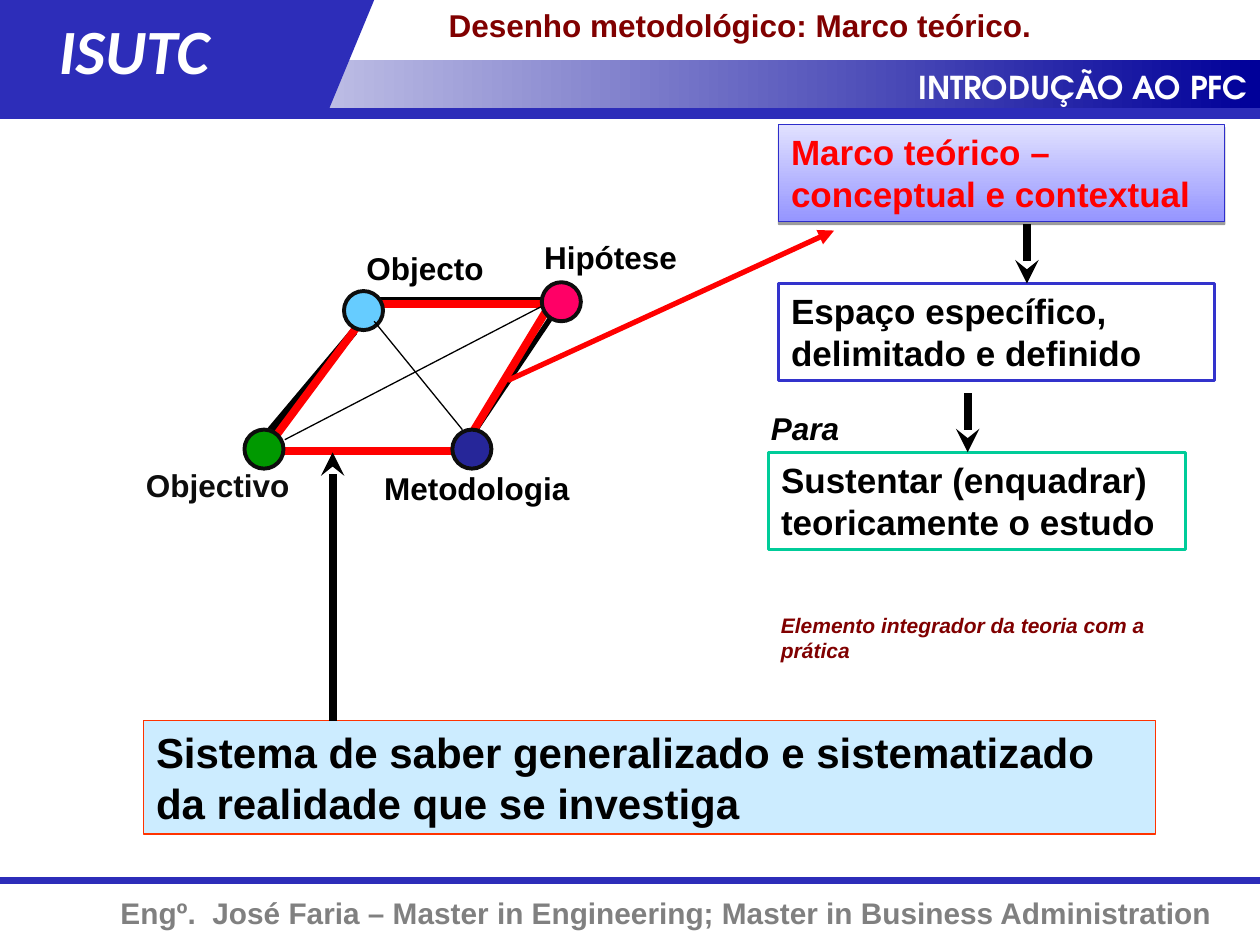
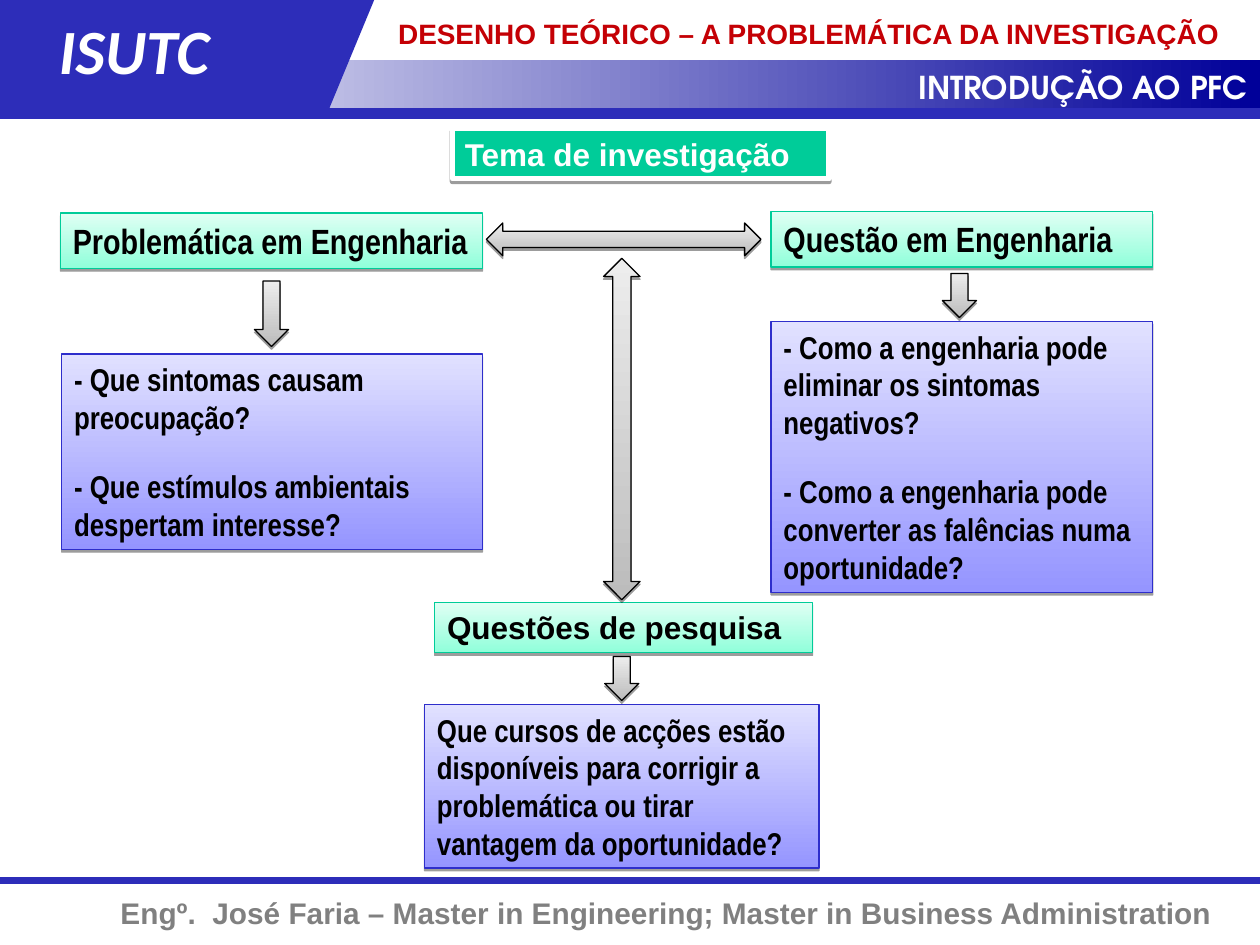
from lxml import etree
from pptx import Presentation
from pptx.dml.color import RGBColor
from pptx.enum.shapes import MSO_CONNECTOR, MSO_SHAPE
from pptx.enum.text import MSO_ANCHOR, MSO_AUTO_SIZE, PP_ALIGN
from pptx.oxml.ns import qn
from pptx.util import Inches, Pt

RECT, OVAL = MSO_SHAPE.RECTANGLE, MSO_SHAPE.OVAL
SLANT = MSO_SHAPE.FLOWCHART_DATA
DOWN = MSO_SHAPE.DOWN_ARROW
LEFT_RIGHT = MSO_SHAPE.LEFT_RIGHT_ARROW
UP_DOWN = MSO_SHAPE.UP_DOWN_ARROW
LEFT, RIGHT = PP_ALIGN.LEFT, PP_ALIGN.RIGHT

BLACK = RGBColor(0x00, 0x00, 0x00)
INK = RGBColor(0x0D, 0x0D, 0x0D)
WHITE = RGBColor(0xFF, 0xFF, 0xFF)
GREY = RGBColor(0x80, 0x80, 0x80)
RED = RGBColor(0xFF, 0x00, 0x00)
MAROON = RGBColor(0x80, 0x00, 0x00)
CRIMSON = RGBColor(0xC4, 0x00, 0x05)
ORANGE = RGBColor(0xFF, 0x33, 0x00)
BAND_BLUE = RGBColor(0x2D, 0x2D, 0xB9)
NAVY = RGBColor(0x00, 0x00, 0x99)
BORDER_BLUE = RGBColor(0x33, 0x33, 0xCC)
LILAC_LINE = RGBColor(0x2E, 0x2E, 0xCB)
PALE_BLUE = RGBColor(0xCC, 0xEC, 0xFF)
TEAL = RGBColor(0x00, 0xCC, 0x99)
SKY = RGBColor(0x66, 0xCC, 0xFF)
GREEN = RGBColor(0x00, 0x99, 0x00)
INDIGO = RGBColor(0x26, 0x26, 0x99)
PINK = RGBColor(0xFF, 0x00, 0x66)

# Gradients as (first, last) colour, running upwards in boxes
LILAC = (RGBColor(0x95, 0x95, 0xFF), RGBColor(0xE1, 0xE1, 0xFF))
MINT = (RGBColor(0x90, 0xFF, 0xDA), RGBColor(0xE0, 0xFF, 0xF4))
SILVER = (RGBColor(0xBC, 0xBC, 0xBC), RGBColor(0xED, 0xED, 0xED))

NARROW = "Arial Narrow"


def write(shape, *paragraphs, size=18, color=BLACK, font="Arial",
          italic=False, align=LEFT):
    frame = shape.text_frame
    frame.word_wrap = True
    frame.auto_size = MSO_AUTO_SIZE.NONE
    frame.vertical_anchor = MSO_ANCHOR.TOP
    for index, text in enumerate(paragraphs):
        paragraph = frame.add_paragraph() if index else frame.paragraphs[0]
        paragraph.text = text
        paragraph.alignment = align
        paragraph.space_before = Pt(size if index else 0)
        paragraph.font.size = Pt(size)
        paragraph.font.name = font
        paragraph.font.bold = True
        paragraph.font.italic = italic
        paragraph.font.color.rgb = color


def label(slide, box, text, **style):
    write(slide.shapes.add_textbox(*map(Inches, box)), text, **style)


def drop_shadow(shape):
    effects = shape._element.spPr.find(qn("a:effectLst"))
    shadow = etree.SubElement(effects, qn("a:outerShdw"), dist="20000",
                              dir="5400000", rotWithShape="0")
    color = etree.SubElement(shadow, qn("a:srgbClr"), val="000000")
    etree.SubElement(color, qn("a:alpha"), val="38000")


def draw(slide, kind, box, fill, line=None, width=0.75, angle=90, shadow=False):
    """Add a shape; fill is one colour or a pair of gradient colours."""
    shape = slide.shapes.add_shape(kind, *map(Inches, box))
    if isinstance(fill, RGBColor):
        shape.fill.solid()
        shape.fill.fore_color.rgb = fill
    else:
        shape.fill.gradient()
        shape.fill.gradient_angle = angle
        for stop, color in zip(shape.fill.gradient_stops, fill):
            stop.color.rgb = color
    if line is None:
        shape.line.fill.background()
    else:
        shape.line.color.rgb = line
        shape.line.width = Pt(width)
    shape.shadow.inherit = False
    if shadow:
        drop_shadow(shape)
    return shape


def connect(slide, start, end, color=BLACK, width=4.5, head=None):
    line = slide.shapes.add_connector(MSO_CONNECTOR.STRAIGHT,
                                      *map(Inches, start + end))
    line.line.color.rgb = color
    line.line.width = Pt(width)
    if head:
        etree.SubElement(line.line._get_or_add_ln(), qn("a:tailEnd"), type=head)
    etree.SubElement(line._element.spPr, qn("a:effectLst"))


def node(slide, left, top, color):
    draw(slide, OVAL, (left, top, 0.31, 0.31), color, INK, 2.25)


def framed_slide(deck, title, box, **style):
    """Add a slide with its title, header band and footer."""
    slide = deck.slides.add_slide(deck.slide_layouts[5])
    heading = slide.shapes.title
    heading.left, heading.top, heading.width, heading.height = map(Inches, box)
    write(heading, title, **style)
    connect(slide, (0, 6.99), (10, 6.99), BAND_BLUE, 4)
    label(slide, (0, 7.05, 9.72, 0.39),
          "Engº.  José Faria – Master in Engineering; "
          "Master in Business Administration",
          size=17, color=GREY, align=RIGHT)
    draw(slide, RECT, (0, 0.48, 10, 0.39), (WHITE, NAVY), angle=0)
    draw(slide, SLANT, (1.17, 0, 1.8, 0.87), BAND_BLUE)
    draw(slide, RECT, (0, 0, 1.59, 0.87), BAND_BLUE)
    label(slide, (4.36, 0.49, 5.64, 0.4), "INTRODUÇÃO AO PFC",
          color=WHITE, font="TeX Gyre Adventor", align=RIGHT)
    label(slide, (0.37, 0.04, 1.93, 0.7), "ISUTC",
          size=36, color=WHITE, font="Calibri", italic=True)
    connect(slide, (0, 0.9), (10, 0.9), BAND_BLUE, 6)
    return slide


def research_diamond(slide):
    black_edges = [((2.96, 2.39), (4.46, 2.39), 4.5),
                   ((2.81, 2.63), (2.02, 3.57), 4.5),
                   ((2.02, 3.57), (3.75, 3.57), 3),
                   ((4.46, 2.39), (3.67, 3.57), 3)]
    for start, end, width in black_edges:
        connect(slide, start, end, BLACK, width)
    red_edges = [((2.95, 2.41), (4.31, 2.41)), ((2.97, 2.41), (2.1, 3.58)),
                 ((2.1, 3.58), (3.67, 3.58)), ((4.37, 2.41), (3.66, 3.58))]
    for start, end in red_edges:
        connect(slide, start, end, RED)
    node(slide, 2.73, 2.31, SKY)
    node(slide, 1.94, 3.41, GREEN)
    node(slide, 3.59, 3.41, INDIGO)
    connect(slide, (2.26, 3.49), (4.38, 2.39), width=0.75)
    connect(slide, (2.97, 2.55), (3.67, 3.41), width=0.75)
    node(slide, 4.3, 2.24, PINK)
    label(slide, (1.06, 3.65, 1.43, 0.4), "Objectivo", color=INK)
    label(slide, (2.81, 1.93, 1.34, 0.4), "Objecto")
    label(slide, (4.22, 1.84, 1.5, 0.4), "Hipótese")
    label(slide, (2.95, 3.67, 1.89, 0.4), "Metodologia")


def theoretical_framework(deck):
    slide = framed_slide(deck, "Desenho metodológico: Marco teórico.",
                         (3.46, 0, 5.04, 0.4), color=MAROON)
    research_diamond(slide)

    framework = draw(slide, RECT, (6.18, 0.99, 3.54, 0.77), LILAC,
                     LILAC_LINE, shadow=True)
    write(framework, "Marco teórico – conceptual e contextual",
          size=20, color=RED)
    scope = draw(slide, RECT, (6.18, 2.25, 3.46, 0.77), WHITE, BORDER_BLUE, 2)
    write(scope, "Espaço específico, delimitado e definido", size=20)
    purpose = draw(slide, RECT, (6.1, 3.59, 3.31, 0.77), WHITE, TEAL, 2)
    write(purpose, "Sustentar (enquadrar) teoricamente o estudo", size=20)
    label(slide, (6.02, 3.2, 0.87, 0.4), "Para", italic=True)
    label(slide, (6.1, 4.81, 3.36, 0.5),
          "Elemento integrador da teoria com a prática",
          size=12, color=MAROON, italic=True)
    knowledge = draw(slide, RECT, (1.14, 5.72, 8.03, 0.9), PALE_BLUE, ORANGE)
    write(knowledge, "Sistema de saber generalizado e sistematizado "
          "da realidade que se investiga", size=24)

    for start, end in [((8.15, 1.78), (8.15, 2.25)),
                       ((7.68, 3.12), (7.68, 3.59)),
                       ((2.64, 5.72), (2.64, 3.59))]:
        connect(slide, start, end, head="stealth")
    connect(slide, (4.03, 3.02), (6.62, 1.83), RED, 3, head="triangle")


def research_problem(deck):
    slide = framed_slide(
        deck, "DESENHO TEÓRICO – A PROBLEMÁTICA DA INVESTIGAÇÃO",
        (3.06, 0.08, 6.94, 0.48), size=16, color=CRIMSON)
    theme = draw(slide, RECT, (3.59, 1.02, 2.99, 0.4), TEAL, WHITE, 3,
                 shadow=True)
    write(theme, "Tema de investigação", color=WHITE)

    headings = [((0.48, 1.69, 3.35, 0.44), "Problemática em Engenharia", 20, NARROW),
                ((6.12, 1.68, 3.03, 0.44), "Questão em Engenharia", 20, NARROW),
                ((3.45, 4.78, 3, 0.4), "Questões de pesquisa", 18, "Arial")]
    for box, text, size, font in headings:
        heading = draw(slide, RECT, box, MINT, TEAL, shadow=True)
        write(heading, text, size=size, font=font)

    questions = [
        ((0.49, 2.81, 3.34, 1.55),
         ["- Que sintomas causam preocupação?",
          "- Que estímulos ambientais despertam interesse?"]),
        ((6.12, 2.55, 3.03, 2.15),
         ["- Como a engenharia pode eliminar os sintomas negativos?",
          "- Como a engenharia pode converter as falências numa oportunidade?"]),
        ((3.37, 5.59, 3.13, 1.3),
         ["Que cursos de acções estão disponíveis para corrigir a "
          "problemática ou tirar vantagem da oportunidade?"])]
    for box, texts in questions:
        panel = draw(slide, RECT, box, LILAC, LILAC_LINE, shadow=True)
        write(panel, *texts, font=NARROW)

    for kind, box in [(DOWN, (2.02, 2.23, 0.27, 0.52)),
                      (LEFT_RIGHT, (3.86, 1.77, 2.18, 0.26)),
                      (UP_DOWN, (4.79, 2.05, 0.29, 2.71)),
                      (DOWN, (7.48, 2.17, 0.27, 0.35)),
                      (DOWN, (4.8, 5.21, 0.27, 0.35))]:
        draw(slide, kind, box, SILVER, BLACK, shadow=True)


def main():
    deck = Presentation()
    deck.slide_width, deck.slide_height = Inches(10), Inches(7.5)
    theoretical_framework(deck)
    research_problem(deck)
    deck.save("out.pptx")


if __name__ == "__main__":
    main()
